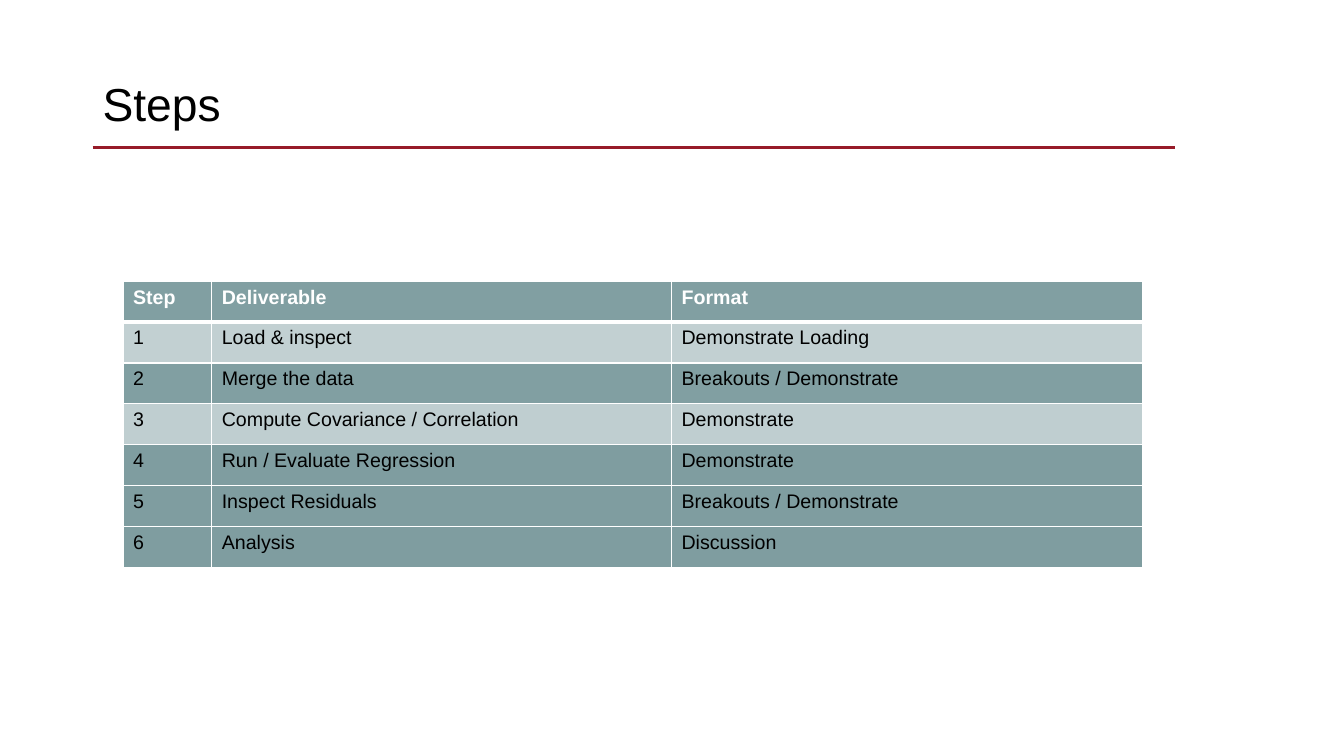
"""Build the Steps slide: a ruled title above a table of deliverables."""
from lxml import etree
from pptx import Presentation
from pptx.dml.color import RGBColor
from pptx.enum.shapes import MSO_CONNECTOR
from pptx.enum.text import MSO_ANCHOR
from pptx.oxml.ns import qn
from pptx.util import Inches, Pt

STRAIGHT = MSO_CONNECTOR.STRAIGHT
MIDDLE = MSO_ANCHOR.MIDDLE

TITLE = "Steps"
STEPS = [
    ("Step", "Deliverable", "Format"),
    ("1", "Load & inspect", "Demonstrate Loading"),
    ("2", "Merge the data", "Breakouts / Demonstrate"),
    ("3", "Compute Covariance / Correlation", "Demonstrate"),
    ("4", "Run / Evaluate Regression", "Demonstrate"),
    ("5", "Inspect Residuals", "Breakouts / Demonstrate"),
    ("6", "Analysis", "Discussion"),
]
ROW_OPACITY = [60, 29, 60, 30, 61, 61, 61]
COLORS = {"rule": "971B29", "teal": "2E6064", "white": "FFFFFF", "black": "000000"}
FONT = "Arial"
SLIDE_SIZE = (13.33, 7.5)
TITLE_BOX = (0.92, 0.33, 11.5, 1.45)
RULE_LEFT, RULE_RIGHT, RULE_Y = 0.92, 11.65, 1.46
TABLE_LEFT, TABLE_TOP = 1.22, 2.79
COLUMN_WIDTHS = (0.88, 4.56, 4.67)
TABLE_HEIGHT = 2.84
ROW_HEIGHT = TABLE_HEIGHT / len(STEPS)


def format_text(frame, size, color, bold=False):
    for paragraph in frame.paragraphs:
        for run in paragraph.runs:
            run.font.name = FONT
            run.font.size = Pt(size)
            run.font.bold = bold
            run.font.color.rgb = RGBColor.from_string(COLORS[color])


def add_borders(cell, top, bottom):
    properties = cell._tc.get_or_add_tcPr()
    for side, width in (("L", 1), ("R", 1), ("T", top), ("B", bottom)):
        border = etree.SubElement(properties, qn(f"a:ln{side}"), w=str(Pt(width)))
        fill = etree.SubElement(border, qn("a:solidFill"))
        etree.SubElement(fill, qn("a:srgbClr"), val=COLORS["white"])


def fill_cell(cell, opacity):
    cell.fill.solid()
    cell.fill.fore_color.rgb = RGBColor.from_string(COLORS["teal"])
    tint = cell._tc.tcPr.find(qn("a:solidFill")).find(qn("a:srgbClr"))
    etree.SubElement(tint, qn("a:alpha"), val=str(opacity * 1000))


def add_title(slide):
    rule = slide.shapes.add_connector(
        STRAIGHT, Inches(RULE_LEFT), Inches(RULE_Y), Inches(RULE_RIGHT), Inches(RULE_Y)
    )
    rule.line.color.rgb = RGBColor.from_string(COLORS["rule"])
    rule.line.width = Pt(2)
    etree.SubElement(rule._element.spPr, qn("a:effectLst"))

    frame = slide.shapes.add_textbox(*map(Inches, TITLE_BOX)).text_frame
    frame.word_wrap = True
    frame.vertical_anchor = MIDDLE
    frame.text = TITLE
    frame.paragraphs[0].line_spacing = 0.9
    format_text(frame, 33, "black")


def add_steps(slide):
    table = slide.shapes.add_table(
        len(STEPS), len(COLUMN_WIDTHS), Inches(TABLE_LEFT), Inches(TABLE_TOP),
        Inches(sum(COLUMN_WIDTHS)), Inches(TABLE_HEIGHT),
    ).table
    table.horz_banding = False
    for column, width in zip(table.columns, COLUMN_WIDTHS):
        column.width = Inches(width)
    for index, (step, opacity) in enumerate(zip(STEPS, ROW_OPACITY)):
        table.rows[index].height = Inches(ROW_HEIGHT)
        header = index == 0
        for cell, words in zip(table.rows[index].cells, step):
            cell.text_frame.text = words
            format_text(cell.text_frame, 14, "white" if header else "black", header)
            add_borders(cell, top=3 if index == 1 else 1, bottom=3 if header else 1)
            fill_cell(cell, opacity)


def main():
    deck = Presentation()
    deck.slide_width, deck.slide_height = map(Inches, SLIDE_SIZE)
    slide = deck.slides.add_slide(deck.slide_layouts[6])
    add_title(slide)
    add_steps(slide)
    deck.save("out.pptx")


if __name__ == "__main__":
    main()
